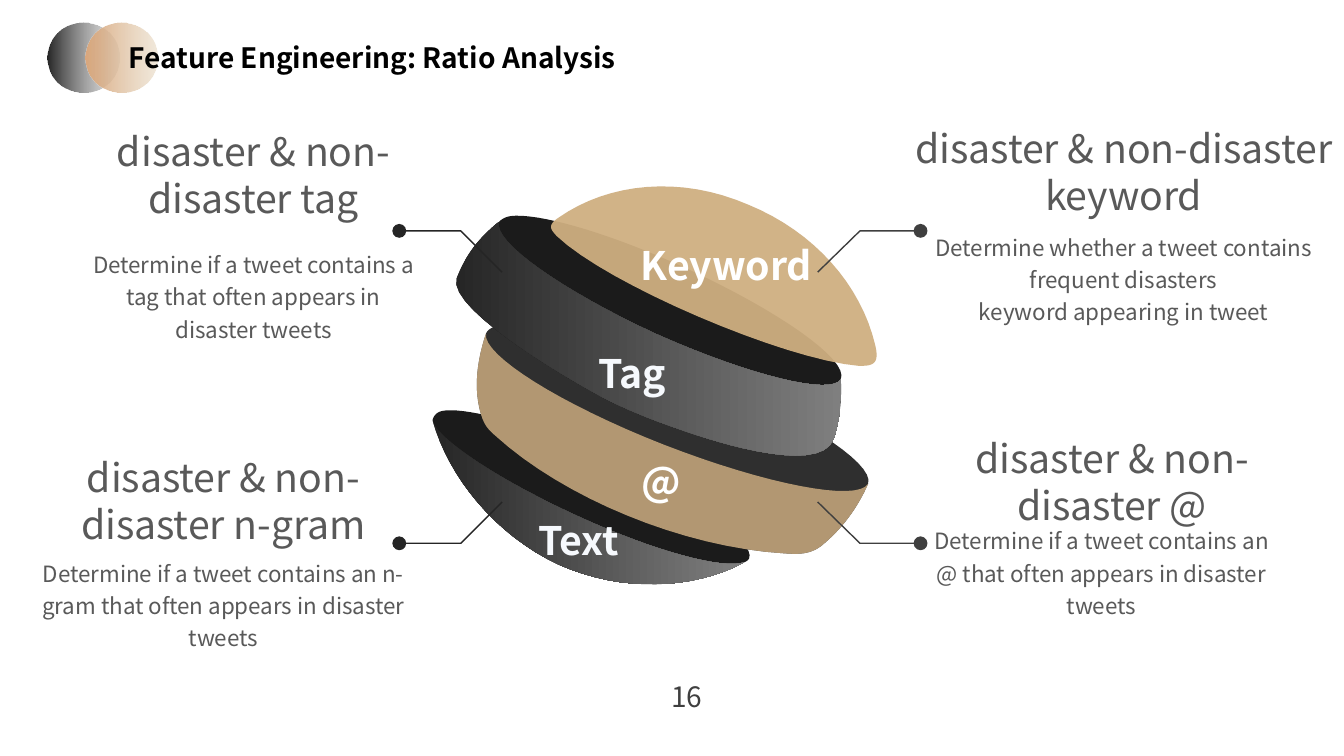
"""Build the ratio analysis slide: a sliced sphere with four labelled features."""
from lxml import etree
from pptx import Presentation
from pptx import util as u
from pptx.dml.color import RGBColor
from pptx.enum import shapes, text
from pptx.oxml.ns import qn

FONT = "Noto Sans CJK SC"
BLACK = RGBColor(0x00, 0x00, 0x00)
WHITE = RGBColor(0xFF, 0xFF, 0xFF)
PALE = RGBColor(0xF6, 0xF9, 0xFD)
GRAY = RGBColor(0x59, 0x59, 0x59)
CHARCOAL = RGBColor(0x3F, 0x3F, 0x3F)
INK = RGBColor(0x25, 0x25, 0x25)
DARK = RGBColor(0x26, 0x26, 0x26)
MID = RGBColor(0x7F, 0x7F, 0x7F)
SILVER = RGBColor(0xBF, 0xBF, 0xBF)
COPPER = RGBColor(0xDB, 0xA9, 0x7F)
CREAM = RGBColor(0xDF, 0xCA, 0xAB)
SAND = RGBColor(0xCF, 0xAF, 0x81)
LID = RGBColor(0x1B, 0x1B, 0x1B)
LID_SOFT = RGBColor(0x2F, 0x2F, 0x2F)

deck = Presentation()
deck.slide_width, deck.slide_height = u.Inches(13.33), u.Inches(7.5)
page = deck.slides.add_slide(deck.slide_layouts[6])


def add_text(content, left, top, width, height, size=16, color=GRAY, bold=False,
             align=text.PP_ALIGN.CENTER, anchor=text.MSO_ANCHOR.TOP,
             inset=(0, 0), spacing=None):
    box = page.shapes.add_textbox(*map(u.Inches, (left, top, width, height)))
    frame = box.text_frame
    frame.word_wrap = True
    frame.vertical_anchor = anchor
    frame.margin_left = frame.margin_right = u.Inches(inset[0])
    frame.margin_top = frame.margin_bottom = u.Inches(inset[1])
    frame.text = content
    for para in frame.paragraphs:
        para.alignment = align
        if spacing:
            para.line_spacing = spacing
        para.font.name = FONT
        para.font.size = u.Pt(size)
        para.font.bold = bold
        para.font.color.rgb = color


def paint(shape, *stops):
    """Fill with one (colour, opacity) stop, or a left-to-right gradient of two."""
    shape.shadow.inherit = False
    if len(stops) == 1:
        shape.fill.solid()
        shape.fill.fore_color.rgb = stops[0][0]
    else:
        shape.fill.gradient()
        shape.fill.gradient_angle = 0
        for mark, (color, _) in zip(shape.fill.gradient_stops, stops):
            mark.color.rgb = color
    for tint, (_, opacity) in zip(shape.element.spPr.iter(qn("a:srgbClr")), stops):
        if opacity < 100:
            etree.SubElement(tint, qn("a:alpha")).set("val", str(opacity * 1000))
    shape.line.fill.background()


for left, *stops in ((0.47, (DARK, 100), (SILVER, 40)),
                     (0.85, (COPPER, 100), (CREAM, 42))):
    circle = page.shapes.add_shape(shapes.MSO_SHAPE.OVAL, u.Inches(left), u.Inches(0.22),
                                   u.Inches(0.71), u.Inches(0.7))
    paint(circle, *stops)
add_text("Feature Engineering: Ratio Analysis", 1.18, 0.35, 6.8, 0.4, size=20,
         color=BLACK, bold=True, align=text.PP_ALIGN.JUSTIFY, inset=(0.1, 0.05))

shade = [(DARK, 100), (MID, 100)]
text_rim = (4.29, 4.17)
text_back = [(4.31, 4.09, 4.37, 4.07, 4.47, 4.07), (4.76, 4.07, 5.35, 4.25, 6, 4.54),
             (6.86, 4.93, 7.5, 5.38, 7.43, 5.54), (7.42, 5.56, 7.4, 5.57, 7.38, 5.58)]
text_front = [(4.34, 4.36, 4.96, 4.77, 5.75, 5.13), (6.5, 5.47, 7.16, 5.65, 7.38, 5.58)]
text_base = [(6.87, 5.85, 6.17, 5.88, 5.54, 5.6), (4.92, 5.31, 4.45, 4.74, 4.29, 4.17)]

at_rim = (4.82, 3.31)
at_back = [(4.85, 3.24, 4.95, 3.22, 5.12, 3.22), (5.48, 3.23, 6.13, 3.4, 6.85, 3.68),
           (7.89, 4.09, 8.68, 4.59, 8.61, 4.8)]
at_front = [(4.78, 3.52, 5.56, 4.01, 6.58, 4.41), (7.61, 4.81, 8.5, 4.98, 8.61, 4.8)]
at_base = [(8.5, 5.05, 8.34, 5.26, 8.14, 5.42), (8.03, 5.5, 7.92, 5.5, 7.78, 5.49),
           (6.77, 5.43, 5.59, 4.94, 4.91, 4.32), (4.84, 4.26, 4.81, 4.22, 4.78, 4.14),
           (4.69, 3.87, 4.73, 3.58, 4.82, 3.31)]

tag_rim = (4.95, 2.2)
tag_back = [(5, 2.15, 5.06, 2.14, 5.13, 2.14), (5.44, 2.14, 6.08, 2.33, 6.78, 2.65),
            (7.72, 3.08, 8.42, 3.57, 8.34, 3.76)]
tag_front = [(4.88, 2.39, 5.57, 2.88, 6.5, 3.31), (7.44, 3.73, 8.26, 3.93, 8.34, 3.76)]
tag_base = [(8.35, 3.96, 8.33, 4.16, 8.27, 4.35), (8.13, 4.75, 6.93, 4.33, 6.63, 4.22),
            (6.43, 4.15, 6.24, 4.07, 6.05, 3.98), (5.81, 3.86, 4.42, 3.08, 4.53, 2.76),
            (4.62, 2.53, 4.74, 2.37, 4.95, 2.2)]

keyword_cap = [(8.08, 2.3, 8.54, 2.83, 8.68, 3.42), (8.73, 3.62, 8.65, 3.63, 8.52, 3.63),
               (7.78, 3.57, 6.02, 2.82, 5.52, 2.34), (5.47, 2.28, 5.42, 2.24, 5.54, 2.16),
               (6.04, 1.81, 6.75, 1.74, 7.42, 2.03)]

sphere = [
    (text_rim, text_back + text_base, [(LID, 100)]),
    (text_rim, text_front + text_base, shade),
    (at_rim, at_back + at_base, [(LID_SOFT, 100)]),
    (at_rim, at_front + at_base, [(SAND, 82)]),
    (tag_rim, tag_back + tag_base, [(LID, 100)]),
    (tag_rim, tag_front + tag_base, shade),
    ((7.42, 2.03), keyword_cap, [(SAND, 95)]),
]
STEPS = 16
for start, curves, stops in sphere:
    points = [start]
    for x1, y1, x2, y2, x3, y3 in curves:
        x0, y0 = points[-1]
        for step in range(1, STEPS + 1):
            t = step / STEPS
            a, b, c, d = (1 - t) ** 3, 3 * t * (1 - t) ** 2, 3 * t * t * (1 - t), t ** 3
            points.append((a * x0 + b * x1 + c * x2 + d * x3,
                           a * y0 + b * y1 + c * y2 + d * y3))
    outline = page.shapes.build_freeform(*map(u.Inches, start))
    outline.add_line_segments([(u.Inches(x), u.Inches(y)) for x, y in points[1:]])
    paint(outline.convert_to_shape(), *stops)

for xs, color in (((8.11, 8.53, 9.13), CHARCOAL), ((4.98, 4.57, 3.96), INK)):
    for ys in ((2.7, 2.29, 2.29), (4.98, 5.39, 5.39)):
        points = [(u.Inches(x), u.Inches(y)) for x, y in zip(xs, ys)]
        path = page.shapes.build_freeform(*points[0])
        path.add_line_segments(points[1:], close=False)
        leader = path.convert_to_shape()
        leader.shadow.inherit = False
        leader.fill.background()
        leader.line.color.rgb = color
        leader.line.width = u.Pt(1)
        etree.SubElement(leader.element.spPr.find(qn("a:ln")), qn("a:tailEnd"),
                         type="oval", w="lg", len="lg")

for label, left, top, width, color in (
        ("Keyword", 6.09, 2.34, 2.23, WHITE), ("Tag", 5.53, 3.41, 1.48, PALE),
        ("@", 6.26, 4.49, 0.47, WHITE), ("Text", 5.1, 5.07, 1.28, PALE)):
    add_text(label, left, top, width, 0.57, size=28, color=color, bold=True,
             anchor=text.MSO_ANCHOR.MIDDLE, inset=(0.1, 0.05))

features = [
    ("disaster & non-disaster tag", (0.85, 1.16, 3.33, 1.04),
     "Determine if a tweet contains a tag that often appears in disaster tweets",
     (0.85, 2.44, 3.33, 1.04)),
    ("disaster & non-disaster n-gram", (0.34, 3.97, 3.75, 1.46),
     "Determine if a tweet contains an n-gram that often appears in disaster tweets",
     (0.34, 5.5, 3.75, 1.04)),
    ("disaster & non-disaster keyword", (9.06, 0.92, 4.17, 1.25),
     "Determine whether a tweet contains frequent disasters\nkeyword appearing in tweet",
     (9.06, 2.27, 4.17, 1.04)),
    ("disaster & non-disaster @", (9.26, 4.2, 3.54, 1.04),
     "Determine if a tweet contains an @ that often appears in disaster tweets",
     (9.26, 5.18, 3.33, 1.04)),
]
for heading, heading_area, detail, detail_area in features:
    add_text(heading, *heading_area, size=28, anchor=text.MSO_ANCHOR.BOTTOM)
    add_text(detail, *detail_area, spacing=1.2)

add_text("16", 6.56, 6.69, 0.61, 0.44, size=20, color=CHARCOAL,
         align=text.PP_ALIGN.JUSTIFY, inset=(0.1, 0.05))

deck.save("out.pptx")
